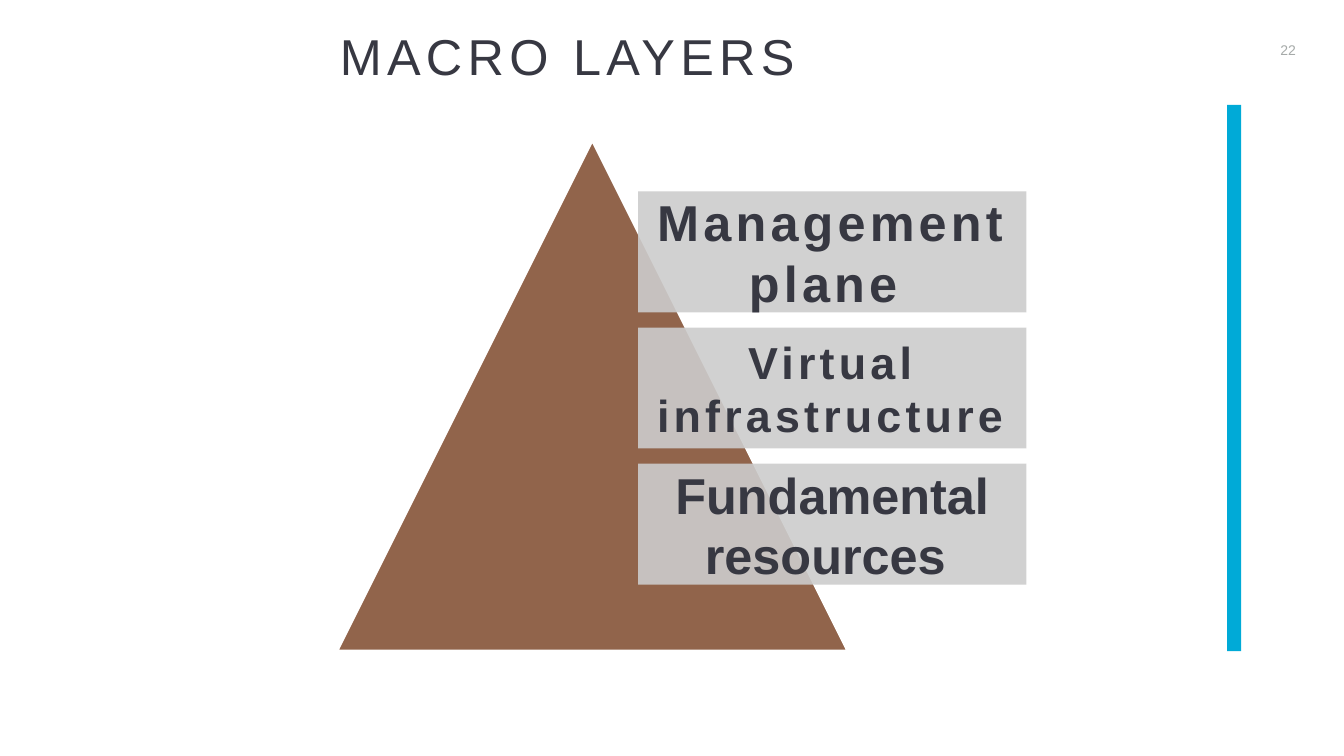
from dataclasses import dataclass

from lxml import etree
from pptx import Presentation
from pptx.dml.color import RGBColor
from pptx.enum.shapes import MSO_SHAPE
from pptx.enum.text import MSO_ANCHOR, MSO_AUTO_SIZE, PP_ALIGN
from pptx.oxml.ns import qn
from pptx.util import Inches, Pt

RECTANGLE, TRIANGLE = MSO_SHAPE.RECTANGLE, MSO_SHAPE.ISOSCELES_TRIANGLE
LEFT, CENTER = PP_ALIGN.LEFT, PP_ALIGN.CENTER
TOP, MIDDLE, BOTTOM = MSO_ANCHOR.TOP, MSO_ANCHOR.MIDDLE, MSO_ANCHOR.BOTTOM
NO_AUTOFIT = MSO_AUTO_SIZE.NONE


@dataclass(frozen=True)
class Theme:
    """Colours, font and type sizes of the slide."""
    font: str = "Arial"
    ink: str = "373842"
    muted: str = "A6AAA9"
    accent: str = "00AAD7"
    pyramid: str = "91644B"
    label: str = "CCCCCC"
    outline: str = "FFFFFF"
    heading: int = 36
    compact: int = 32
    number: int = 10


THEME = Theme()
LAYERS = [
    ("Management plane ", THEME.heading, 3, 0.15),
    ("Virtual infrastructure ", THEME.compact, 3, 0.13),
    ("Fundamental resources ", THEME.heading, 0, 0.15),
]


def write_text(holder, text, size, color, align, anchor, inset, bold=False, tracking=0):
    """Fill a shape's text frame with one formatted paragraph."""
    frame = holder.text_frame
    frame.word_wrap = True
    frame.auto_size = NO_AUTOFIT
    frame.vertical_anchor = anchor
    frame.margin_left = frame.margin_right = Inches(inset)
    frame.margin_top = frame.margin_bottom = Inches(inset)
    frame.text = text
    paragraph = frame.paragraphs[0]
    paragraph.alignment = align
    paragraph.line_spacing = 1.0
    paragraph.font.name = THEME.font
    paragraph.font.size = Pt(size)
    paragraph.font.bold = bold
    paragraph.font.color.rgb = RGBColor.from_string(color)
    if tracking:
        paragraph.font._element.set("spc", str(round(tracking * 100)))


def add_block(slide, preset, box, color, opacity=100):
    """Add a flat filled shape without an outline."""
    block = slide.shapes.add_shape(preset, *map(Inches, box))
    block.shadow.inherit = False
    block.line.fill.background()
    block.fill.solid()
    block.fill.fore_color.rgb = RGBColor.from_string(color)
    if opacity < 100:
        tint = block.fill._xPr.find(".//" + qn("a:srgbClr"))
        etree.SubElement(tint, qn("a:alpha")).set("val", str(opacity * 1000))
    return block


def add_title(slide, box):
    """Place and format the title placeholder."""
    title = slide.shapes.title
    title.left, title.top, title.width, title.height = map(Inches, box)
    write_text(title, "MACRO LAYERS", THEME.heading, THEME.ink, LEFT, BOTTOM, 0.03, tracking=3.8)


def add_slide_number(slide, box):
    """Add the slide number in the top right corner."""
    number = slide.shapes.add_textbox(*map(Inches, box))
    write_text(number, "22", THEME.number, THEME.muted, CENTER, TOP, 0.05)


def add_layer_pyramid(slide, box):
    """Draw the pyramid at the left of the box and its layer labels at the right."""
    left, top, width, height = box
    pyramid = add_block(slide, TRIANGLE, (left, top, height, height), THEME.pyramid)
    pyramid.line.color.rgb = RGBColor.from_string(THEME.outline)
    pyramid.line.width = Pt(2)
    label_width, label_height, pitch = 3.85, 1.2, 1.35
    label_left = left + width - label_width
    for index, (name, size, tracking, inset) in enumerate(LAYERS):
        label_top = top + 0.51 + index * pitch
        label = add_block(slide, RECTANGLE, (label_left, label_top, label_width, label_height),
                          THEME.label, opacity=90)
        write_text(label, name, size, THEME.ink, CENTER, MIDDLE, inset,
                   bold=True, tracking=tracking)


def main():
    """Build the slide and save it."""
    deck = Presentation()
    deck.slide_width, deck.slide_height = Inches(13.33), Inches(7.5)
    slide = deck.slides.add_slide(deck.slide_layouts[5])
    add_title(slide, (3.34, 0.22, 4.76, 0.66))
    add_block(slide, RECTANGLE, (12.17, 1.04, 0.14, 5.42), THEME.accent)
    add_layer_pyramid(slide, (3.34, 1.39, 6.84, 5.07))
    add_slide_number(slide, (12.58, 0.36, 0.39, 0.28))
    deck.save("out.pptx")


if __name__ == "__main__":
    main()
